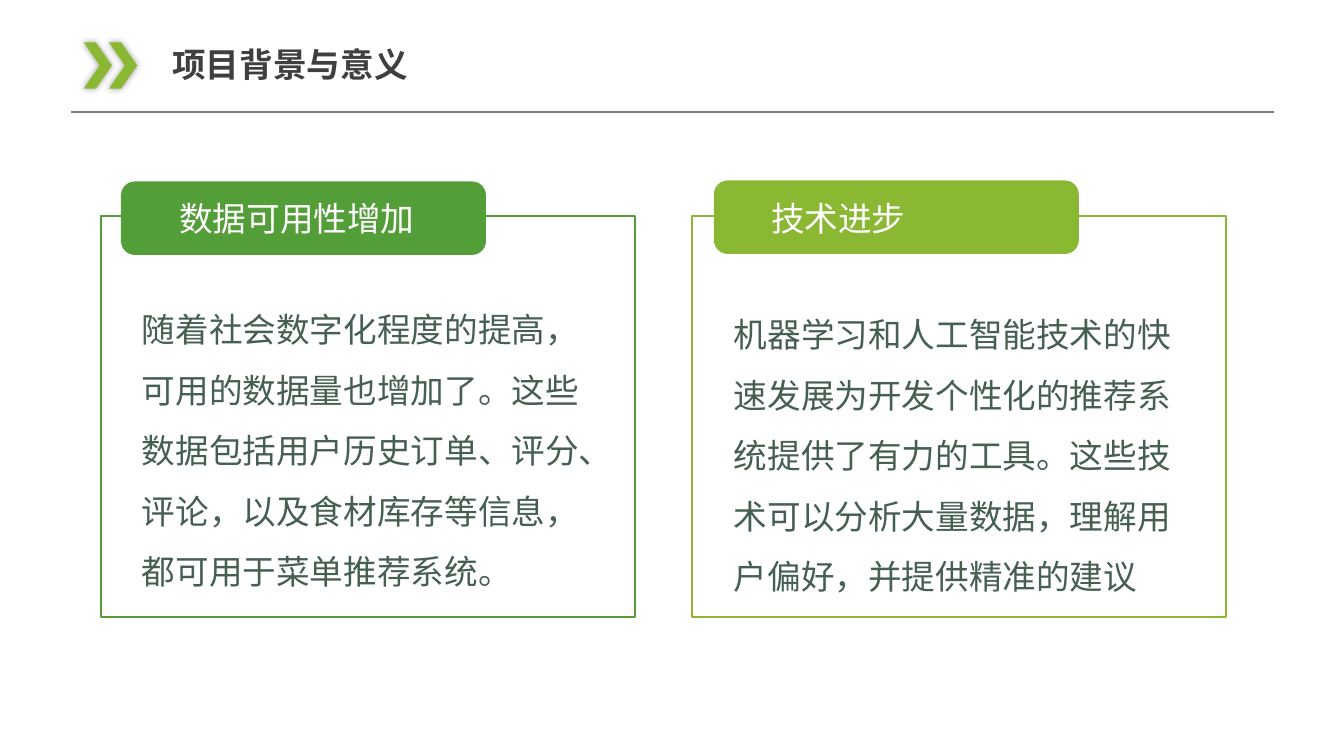
from dataclasses import dataclass

from lxml import etree
from pptx import Presentation
from pptx.dml.color import RGBColor
from pptx.enum.shapes import MSO_CONNECTOR, MSO_SHAPE
from pptx.enum.text import MSO_ANCHOR, MSO_AUTO_SIZE, PP_ALIGN
from pptx.oxml.ns import qn
from pptx.shapes.autoshape import Shape
from pptx.slide import Slide
from pptx.util import Inches, Pt

RECTANGLE = MSO_SHAPE.RECTANGLE
ROUNDED = MSO_SHAPE.ROUNDED_RECTANGLE
CHEVRON = MSO_SHAPE.CHEVRON
STRAIGHT = MSO_CONNECTOR.STRAIGHT
TOP = MSO_ANCHOR.TOP
JUSTIFY = PP_ALIGN.JUSTIFY
LEFT = PP_ALIGN.LEFT
NO_AUTOFIT = MSO_AUTO_SIZE.NONE

WHITE = RGBColor(0xFF, 0xFF, 0xFF)
GREEN = RGBColor(0x54, 0x9E, 0x39)
LIME = RGBColor(0x8A, 0xB8, 0x33)
BODY_COLOR = RGBColor(0x45, 0x5F, 0x51)
TITLE_COLOR = RGBColor(0x3F, 0x3F, 0x3F)
RULE_COLOR = RGBColor(0x80, 0x80, 0x80)
FONT = "Noto Sans CJK SC"


@dataclass(frozen=True)
class Box:
    """A rectangle measured in inches."""
    left: float
    top: float
    width: float
    height: float

    def lengths(self) -> tuple:
        """Return the four sides as slide lengths."""
        return tuple(map(Inches, (self.left, self.top, self.width, self.height)))


@dataclass(frozen=True)
class Card:
    """A framed paragraph with a heading tab."""
    color: RGBColor
    heading: str
    body: str
    frame: Box
    tab: Box
    heading_box: Box
    body_box: Box


CARDS = (
    Card(GREEN, "数据可用性增加",
         "随着社会数字化程度的提高，可用的数据量也增加了。这些数据包括用户历史订单、"
         "评分、评论，以及食材库存等信息，都可用于菜单推荐系统。",
         Box(1, 2.14, 5.3, 3.98), Box(1.2, 1.8, 3.62, 0.73),
         Box(1.68, 1.91, 2.56, 0.5), Box(1.31, 2.82, 4.66, 3.06)),
    Card(LIME, "技术进步",
         "机器学习和人工智能技术的快速发展为开发个性化的推荐系统提供了有力的工具。"
         "这些技术可以分析大量数据，理解用户偏好，并提供精准的建议",
         Box(6.86, 2.14, 5.3, 3.98), Box(7.08, 1.79, 3.62, 0.73),
         Box(7.55, 1.91, 1.55, 0.5), Box(7.18, 2.87, 4.66, 3.06)),
)


def write_text(shape: Shape, text: str, color: RGBColor, bold: bool = False,
               wrap: bool = True, spacing: float = 1.0,
               alignment: PP_ALIGN = LEFT) -> None:
    """Fill a shape with one formatted paragraph."""
    frame = shape.text_frame
    frame.text = text
    frame.auto_size = NO_AUTOFIT
    frame.word_wrap = wrap
    frame.vertical_anchor = TOP
    paragraph = frame.paragraphs[0]
    paragraph.alignment = alignment
    paragraph.line_spacing = spacing
    run = paragraph.runs[0]
    run.font.size = Pt(24)
    run.font.bold = bold
    run.font.color.rgb = color
    run.font.name = FONT
    properties = run._r.get_or_add_rPr()
    etree.SubElement(properties, qn("a:ea"), typeface=FONT)


def add_filled(slide: Slide, kind: MSO_SHAPE, box: Box, color: RGBColor) -> Shape:
    """Add a plain preset shape without outline or shadow."""
    shape = slide.shapes.add_shape(kind, *box.lengths())
    shape.shadow.inherit = False
    shape.fill.solid()
    shape.fill.fore_color.rgb = color
    shape.line.fill.background()
    return shape


def add_card(slide: Slide, card: Card) -> None:
    """Draw the frame, heading tab and body of a card."""
    frame = add_filled(slide, RECTANGLE, card.frame, WHITE)
    fill_color = frame._element.spPr.find(qn("a:solidFill"))[0]
    etree.SubElement(fill_color, qn("a:alpha"), val="90000")
    frame.line.color.rgb = card.color
    frame.line.width = Pt(1.5)
    tab = add_filled(slide, ROUNDED, card.tab, card.color)
    tab.adjustments[0] = 0.19
    heading = slide.shapes.add_textbox(*card.heading_box.lengths())
    write_text(heading, card.heading, WHITE, wrap=False)
    body = slide.shapes.add_textbox(*card.body_box.lengths())
    write_text(body, card.body, BODY_COLOR, spacing=1.5)


def add_chevron(slide: Slide, left: float) -> None:
    """Draw one header chevron with a soft shadow."""
    chevron = add_filled(slide, CHEVRON, Box(left, 0.42, 0.28, 0.46), LIME)
    chevron.adjustments[0] = 0.57
    effects = chevron._element.spPr.find(qn("a:effectLst"))
    shadow = etree.SubElement(effects, qn("a:outerShdw"), blurRad=str(Pt(5)),
                              dist="0", dir="0", algn="ctr", rotWithShape="0")
    color = etree.SubElement(shadow, qn("a:srgbClr"), val="000000")
    etree.SubElement(color, qn("a:alpha"), val="40000")


def add_header(slide: Slide) -> None:
    """Place the title, its rule and the two chevrons."""
    title = slide.shapes.title
    title.left, title.top, title.width, title.height = Box(1.61, 0.39, 3.21, 0.5).lengths()
    write_text(title, "项目背景与意义", TITLE_COLOR, bold=True, alignment=JUSTIFY)
    rule = slide.shapes.add_connector(
        STRAIGHT, Inches(0.7), Inches(1.11), Inches(12.64), Inches(1.11))
    rule.line.color.rgb = RULE_COLOR
    rule.line.width = Pt(1)
    etree.SubElement(rule._element.spPr, qn("a:effectLst"))
    for left in (1.08, 0.83):
        add_chevron(slide, left)


def main() -> None:
    """Build and save the presentation."""
    presentation = Presentation()
    presentation.slide_width = Inches(13.33)
    presentation.slide_height = Inches(7.5)
    slide = presentation.slides.add_slide(presentation.slide_layouts[5])
    for card in CARDS:
        add_card(slide, card)
    add_header(slide)
    presentation.save("out.pptx")


main()
